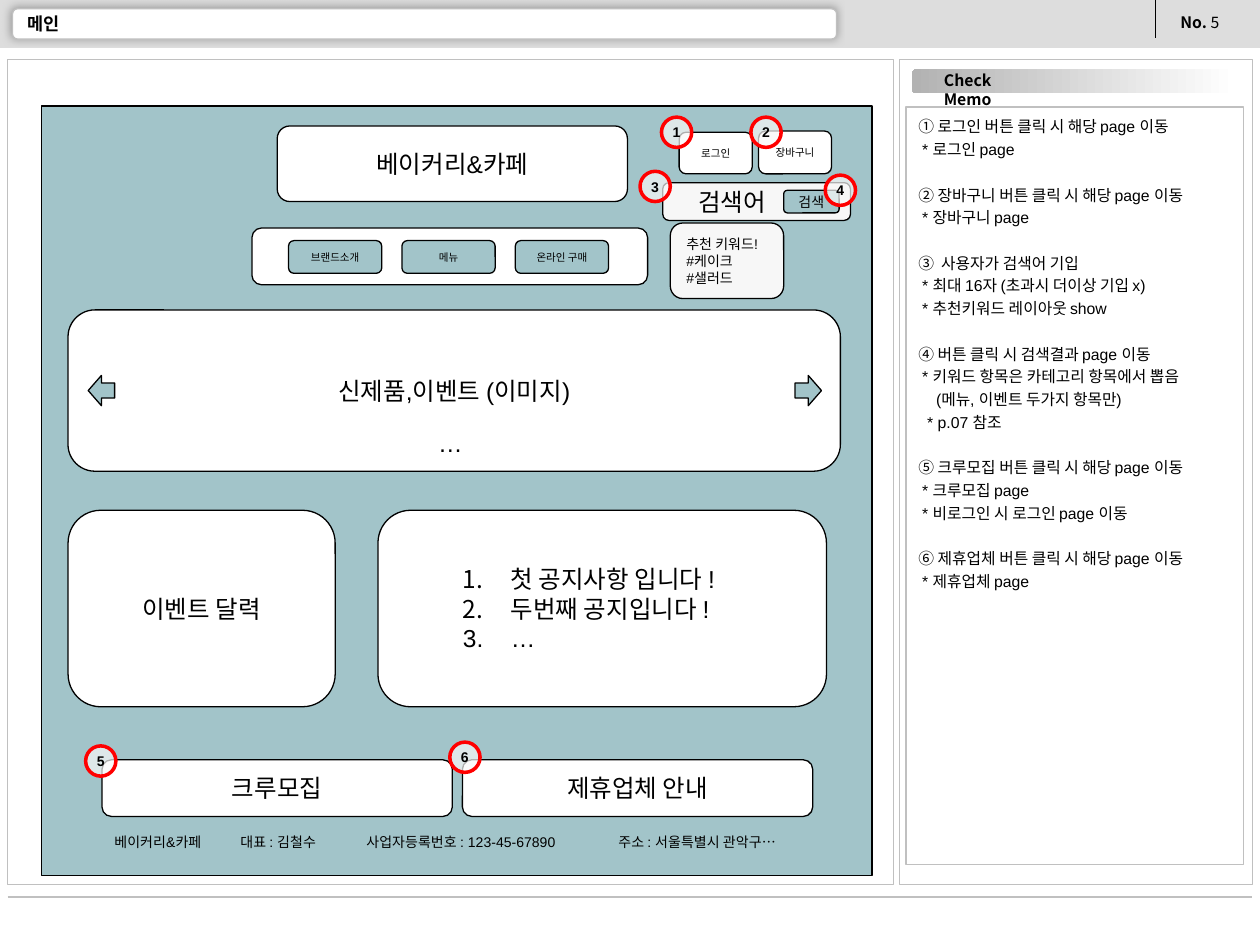
"""Build the main-page wireframe slide with its numbered check memo."""
from lxml.etree import SubElement
from pptx import Presentation
from pptx.dml.color import RGBColor
from pptx.enum.shapes import MSO_CONNECTOR, MSO_SHAPE
from pptx.enum.text import MSO_ANCHOR, MSO_AUTO_SIZE, PP_ALIGN
from pptx.oxml import parse_xml
from pptx.oxml.ns import qn
from pptx.util import Inches, Pt

NS = 'xmlns:a="http://schemas.openxmlformats.org/drawingml/2006/main"'
COLORS = {"black": "000000", "white": "FFFFFF", "bar": "DDDDDD", "rule": "C0C0C0",
          "teal": "A2C4C9", "pale": "F7F7F7", "badge": "F8F8F8", "red": "FF0000",
          "silver": "B2B2B2", "shade": "989898"}
COLUMNS = 1000
TITLE = "메인"
PAGE = ("No. ", "5")
HEADING = "Check Memo"
MEMO = [
    [("① 로그인 버튼 클릭 시 해당 page 이동", 0), ("* 로그인 page", 0.03)],
    [("② 장바구니 버튼 클릭 시 해당 page 이동", 0), ("* 장바구니 page", 0.03)],
    [("③  사용자가 검색어 기입", 0), ("* 최대 16자 (초과시 더이상 기입 x)", 0.03),
     ("* 추천키워드 레이아웃 show", 0.03)],
    [("④ 버튼 클릭 시 검색결과 page 이동", 0),
     ("* 키워드 항목은 카테고리 항목에서 뽑음", 0.03),
     ("(메뉴, 이벤트 두가지 항목만)", 0.14), ("* p.07 참조", 0.07)],
    [("⑤ 크루모집 버튼 클릭 시 해당 page 이동", 0), ("* 크루모집 page", 0.03),
     ("* 비로그인 시 로그인 page 이동", 0.03)],
    [("⑥ 제휴업체 버튼 클릭 시 해당 page 이동", 0), ("* 제휴업체 page", 0.03)],
]
FOOTER = ["베이커리&카페", "대표 : 김철수", "사업자등록번호 : 123-45-67890",
          "주소 : 서울특별시 관악구…"]
FOOTER_TABS = [1, 2, 4]
NOTICES = ["첫 공지사항 입니다 !", "두번째 공지입니다 !", "…"]
KEYWORDS = ["추천 키워드!", "#케이크", "#샐러드"]
MENU = ["브랜드소개", "메뉴", "온라인 구매"]
PANELS = [((714, 47, 280, 655), "white", "rule"), ((6, 47, 703, 655), "white", "rule")]
BLOCKS = [
    ((220, 100, 278, 60), "white", "베이커리&카페", 14),
    ((200, 181, 314, 45), "white", "", 14),
    ((622, 151, 44, 18), "teal", "검색", 8),
    ((81, 603, 278, 45), "white", "크루모집", 14),
    ((367, 603, 278, 45), "white", "제휴업체 안내", 14),
    ((602, 104, 58, 34), "white", "장바구니", 6),
    ((539, 105, 58, 33), "white", "로그인", 6),
    ((54, 246, 613, 128), "white", "신제품,이벤트 (이미지)", 14),
    ((54, 405, 212, 156), "white", "이벤트 달력", 14),
]
BLOCKS += [((229 + 90 * i, 191, 74, 26), "teal", t, 6) for i, t in enumerate(MENU)]
SEARCH = (526, 145, 149, 30)
BADGES = [(525, 93), (596, 93), (508, 136), (655, 139), (68, 592), (357, 589)]

prs = Presentation()
prs.slide_width, prs.slide_height = Inches(10), Inches(7.5)
UNIT = prs.slide_width // COLUMNS
s = prs.slides.add_slide(prs.slide_layouts[5])


def rgb(name):
    return RGBColor.from_string(COLORS[name])


def shape(kind, box, fill, line=None, width=0.75):
    sp = s.shapes.add_shape(kind, *(v * UNIT for v in box))
    sp.shadow.inherit = False
    sp.fill.solid()
    sp.fill.fore_color.rgb = rgb(fill)
    if line:
        sp.line.color.rgb = rgb(line)
        sp.line.width = Pt(width)
    else:
        sp.line.fill.background()
    return sp


def frame(sp, anchor=MSO_ANCHOR.MIDDLE, inset=(0.1, 0.1), wrap=True):
    tf = sp.text_frame
    x, y = map(Inches, inset)
    settings = {"word_wrap": wrap, "auto_size": MSO_AUTO_SIZE.NONE,
                "vertical_anchor": anchor, "margin_left": x, "margin_right": x,
                "margin_top": y, "margin_bottom": y}
    for key, value in settings.items():
        setattr(tf, key, value)
    return tf


def style(font, size, bold=False, name="Arial"):
    for key, value in {"size": Pt(size), "bold": bold, "name": name}.items():
        setattr(font, key, value)
    font.color.rgb = rgb("black")


def write(tf, lines, size, align=PP_ALIGN.LEFT, **look):
    for i, text in enumerate(lines):
        p = tf.add_paragraph() if i else tf.paragraphs[0]
        p.alignment = align
        r = p.add_run()
        r.text = text
        style(r.font, size, **look)
    return tf.paragraphs


def textbox(box, inset=(0.1, 0.05), wrap=True):
    sp = s.shapes.add_textbox(*(v * UNIT for v in box))
    return frame(sp, MSO_ANCHOR.TOP, inset, wrap)


def rule(x1, y1, x2, y2, color, width):
    ends = [v * UNIT for v in (x1, y1, x2, y2)]
    line = s.shapes.add_connector(MSO_CONNECTOR.STRAIGHT, *ends)
    line.line.color.rgb = rgb(color)
    line.line.width = Pt(width)
    SubElement(line.element.spPr, qn("a:effectLst"))


def indent(p, left, hanging=0):
    pPr = p._p.get_or_add_pPr()
    pPr.set("marL", str(Inches(left)))
    pPr.set("indent", str(Inches(hanging)))
    return pPr


RECT, ROUND = MSO_SHAPE.RECTANGLE, MSO_SHAPE.ROUNDED_RECTANGLE
CENTER = PP_ALIGN.CENTER

shape(RECT, (0, 0, COLUMNS, 38), "bar")
rule(917, 0, 917, 30, "black", 0.75)
label, number = PAGE
p = write(textbox((927, 5, 62, 25)), [label], 9, bold=True, name="Noto Sans CJK KR")[0]
r = p.add_run()
r.text = number
style(r.font, 9, name="Noto Sans CJK KR")

title_bar = shape(ROUND, (10, 7, 654, 24), "white", "rule")
title_bar.element.spPr.find(qn("a:effectLst")).append(parse_xml(
    f'<a:outerShdw {NS} blurRad="{Pt(5)}" dist="{Pt(1.4)}" dir="13500000">'
    f'<a:srgbClr val="{COLORS["shade"]}"/></a:outerShdw>'))
title = s.shapes.title
for key, value in zip(("left", "top", "width", "height"), (12, 10, 542, 18)):
    setattr(title, key, value * UNIT)
write(frame(title, inset=(0.1, 0.05)), [TITLE], 10, bold=True)
title_bar.element.addnext(title.element)

rule(6, 712, 994, 712, "rule", 1.5)
for panel in PANELS:
    shape(RECT, *panel)
heading = shape(ROUND, (724, 55, 257, 19), "white")
heading.fill.gradient()
heading.fill.gradient_angle = 180
for stop, position, color in zip(heading.fill.gradient_stops, (0, 1), ("white", "silver")):
    stop.position = position
    stop.color.rgb = rgb(color)
write(textbox((720, 51, 96, 25)), [HEADING], 9, CENTER, bold=True, name="Noto Sans CJK KR")

memo = shape(RECT, (719, 85, 268, 601), "white", "rule")
rows = [(text, left, g > 0 and i == 0) for g, group in enumerate(MEMO)
        for i, (text, left) in enumerate(group)]
paragraphs = write(frame(memo, MSO_ANCHOR.TOP, (0.1, 0.05)), [row[0] for row in rows], 9)
for p, (_, left, starts_group) in zip(paragraphs, rows):
    indent(p, left)
    p.line_spacing = 1.2
    if starts_group:
        p.space_before = Pt(13)

shape(RECT, (33, 84, 659, 611), "teal", "black")
search = shape(ROUND, SEARCH, "pale", "black")
indent(write(frame(search), ["검색어"], 14)[0], 0.17)
for box, fill, text, size in BLOCKS:
    tf = frame(shape(ROUND, box, fill, "black"))
    if text:
        write(tf, [text], size, CENTER)

p = write(textbox((81, 657, 560, 24), wrap=False), ["\t".join(FOOTER)], 8)[0]
tabs = SubElement(p._p.get_or_add_pPr(), qn("a:tabLst"))
for stop in FOOTER_TABS:
    SubElement(tabs, qn("a:tab"), pos=str(Inches(stop)), algn="l")

for kind, x in ((MSO_SHAPE.RIGHT_ARROW, 631), (MSO_SHAPE.LEFT_ARROW, 70)):
    shape(kind, (x, 298, 21, 24), "teal", "black")
write(textbox((338, 330, 44, 44), (0.1, 0.1)), ["…"], 14)

notices = shape(ROUND, (300, 405, 356, 156), "white", "black")
for p in write(frame(notices), NOTICES, 14):
    pPr = indent(p, 0.88, -0.38)
    SubElement(SubElement(pPr, qn("a:buClr")), qn("a:srgbClr"), val=COLORS["black"])
    SubElement(pPr, qn("a:buAutoNum"), type="arabicPeriod")
write(frame(shape(ROUND, (532, 177, 90, 60), "pale", "black")), KEYWORDS, 8)

for n, (x, y) in enumerate(BADGES, 1):
    badge = shape(MSO_SHAPE.OVAL, (x, y, 24, 24), "badge", "red", 2)
    color = badge.element.spPr.find(qn("a:solidFill")).find(qn("a:srgbClr"))
    SubElement(color, qn("a:alpha"), val="70000")
    write(frame(badge, inset=(0.04, 0.05)), [str(n)], 8, CENTER, bold=True)

prs.save("out.pptx")
